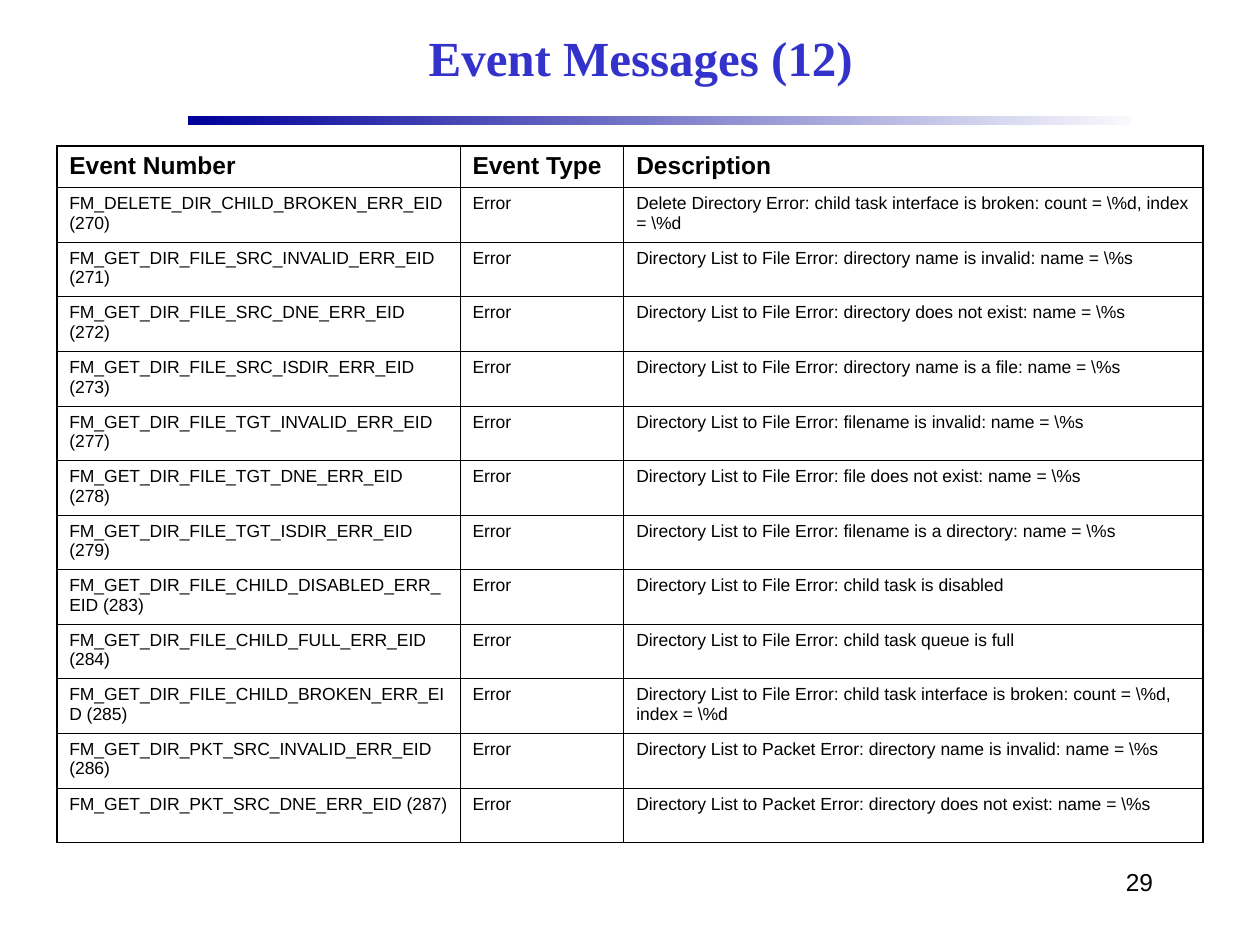
from lxml import etree
from pptx import Presentation
from pptx.dml.color import RGBColor
from pptx.enum.shapes import MSO_SHAPE
from pptx.enum.text import MSO_ANCHOR, PP_ALIGN
from pptx.oxml.ns import qn
from pptx.util import Inches, Pt

RECTANGLE = MSO_SHAPE.RECTANGLE
TOP, MIDDLE = MSO_ANCHOR.TOP, MSO_ANCHOR.MIDDLE
LEFT, CENTER, RIGHT = PP_ALIGN.LEFT, PP_ALIGN.CENTER, PP_ALIGN.RIGHT
TITLE_ONLY = 5

COLORS = {
    "title": "3333CC",
    "text": "000000",
    "border": "000000",
    "bar_start": "000099",
    "bar_end": "F9F9FD",
}
THIN, THICK = Pt(0.45), Pt(1.08)
HEADER_HEIGHT = 0.33
COLUMN_WIDTHS = (3.2, 1.3, 4.6)

HEADERS = ("Event Number", "Event Type", "Description")
EVENTS = [
    ("FM_DELETE_DIR_CHILD_BROKEN_ERR_EID (270)",
     r"Delete Directory Error: child task interface is broken: count = \%d, index = \%d"),
    ("FM_GET_DIR_FILE_SRC_INVALID_ERR_EID (271)",
     r"Directory List to File Error: directory name is invalid: name = \%s"),
    ("FM_GET_DIR_FILE_SRC_DNE_ERR_EID (272)",
     r"Directory List to File Error: directory does not exist: name = \%s"),
    ("FM_GET_DIR_FILE_SRC_ISDIR_ERR_EID (273)",
     r"Directory List to File Error: directory name is a file: name = \%s"),
    ("FM_GET_DIR_FILE_TGT_INVALID_ERR_EID (277)",
     r"Directory List to File Error: filename is invalid: name = \%s"),
    ("FM_GET_DIR_FILE_TGT_DNE_ERR_EID (278)",
     r"Directory List to File Error: file does not exist: name = \%s"),
    ("FM_GET_DIR_FILE_TGT_ISDIR_ERR_EID (279)",
     r"Directory List to File Error: filename is a directory: name = \%s"),
    ("FM_GET_DIR_FILE_CHILD_DISABLED_ERR_EID (283)",
     "Directory List to File Error: child task is disabled"),
    ("FM_GET_DIR_FILE_CHILD_FULL_ERR_EID (284)",
     "Directory List to File Error: child task queue is full"),
    ("FM_GET_DIR_FILE_CHILD_BROKEN_ERR_EID (285)",
     r"Directory List to File Error: child task interface is broken: count = \%d, index = \%d"),
    ("FM_GET_DIR_PKT_SRC_INVALID_ERR_EID (286)",
     r"Directory List to Packet Error: directory name is invalid: name = \%s"),
    ("FM_GET_DIR_PKT_SRC_DNE_ERR_EID (287)",
     r"Directory List to Packet Error: directory does not exist: name = \%s"),
]


def write_text(frame, text, size=10, font="Arial", color="text", bold=False,
               align=LEFT, anchor=TOP):
    frame.word_wrap = True
    frame.vertical_anchor = anchor
    paragraph = frame.paragraphs[0]
    paragraph.alignment = align
    run = paragraph.add_run()
    run.text = text
    run.font.size = Pt(size)
    run.font.name = font
    run.font.bold = bold
    run.font.color.rgb = RGBColor.from_string(COLORS[color])


def set_borders(cell, widths):
    """Draw the left, right, top and bottom edges with the given widths."""
    properties = cell._tc.get_or_add_tcPr()
    for edge, width in zip(("a:lnL", "a:lnR", "a:lnT", "a:lnB"), widths):
        line = etree.SubElement(properties, qn(edge), w=str(int(width)))
        fill = etree.SubElement(line, qn("a:solidFill"))
        etree.SubElement(fill, qn("a:srgbClr"), val=COLORS["border"])


def place_title(slide, left, top, width, height):
    title = slide.shapes.title
    title.left, title.top = Inches(left), Inches(top)
    title.width, title.height = Inches(width), Inches(height)
    write_text(title.text_frame, "Event Messages (12)", size=28, font="Times New Roman",
               color="title", bold=True, align=CENTER, anchor=MIDDLE)


def add_title_bar(slide, left, top, width, height):
    bar = slide.shapes.add_shape(RECTANGLE, Inches(left), Inches(top),
                                 Inches(width), Inches(height))
    bar.shadow.inherit = False
    bar.line.fill.background()
    bar.fill.gradient()
    bar.fill.gradient_angle = 0
    for stop, name in zip(bar.fill.gradient_stops, ("bar_start", "bar_end")):
        stop.color.rgb = RGBColor.from_string(COLORS[name])


def add_event_table(slide, left, top, width, height):
    rows = [HEADERS] + [(number, "Error", description) for number, description in EVENTS]
    table = slide.shapes.add_table(len(rows), len(HEADERS), Inches(left), Inches(top),
                                   Inches(width), Inches(height)).table
    table.first_row = table.horz_banding = False
    for column, column_width in zip(table.columns, COLUMN_WIDTHS):
        column.width = Inches(column_width)

    event_height = (height - HEADER_HEIGHT) / len(EVENTS)
    last_row, last_column = len(rows) - 1, len(HEADERS) - 1
    for row_index, values in enumerate(rows):
        is_header = row_index == 0
        table.rows[row_index].height = Inches(HEADER_HEIGHT if is_header else event_height)
        for column_index, value in enumerate(values):
            cell = table.cell(row_index, column_index)
            # Thick lines on the outside, thin lines inside
            outer = (column_index == 0, column_index == last_column,
                     is_header, row_index == last_row)
            set_borders(cell, [THICK if edge else THIN for edge in outer])
            cell.fill.background()
            write_text(cell.text_frame, value, size=14 if is_header else 10, bold=is_header)


def add_page_number(slide, left, top, width, height):
    box = slide.shapes.add_textbox(Inches(left), Inches(top), Inches(width), Inches(height))
    write_text(box.text_frame, "29", size=14, align=RIGHT)


def main():
    presentation = Presentation()
    presentation.slide_width, presentation.slide_height = Inches(10), Inches(7.5)
    slide = presentation.slides.add_slide(presentation.slide_layouts[TITLE_ONLY])

    add_title_bar(slide, 1.49, 0.92, 7.49, 0.07)
    place_title(slide, 1.5, 0.08, 7.17, 0.75)
    add_event_table(slide, 0.45, 1.16, 9.1, 5.53)
    add_page_number(slide, 7.17, 6.83, 2.08, 0.5)

    presentation.save("out.pptx")


if __name__ == "__main__":
    main()
